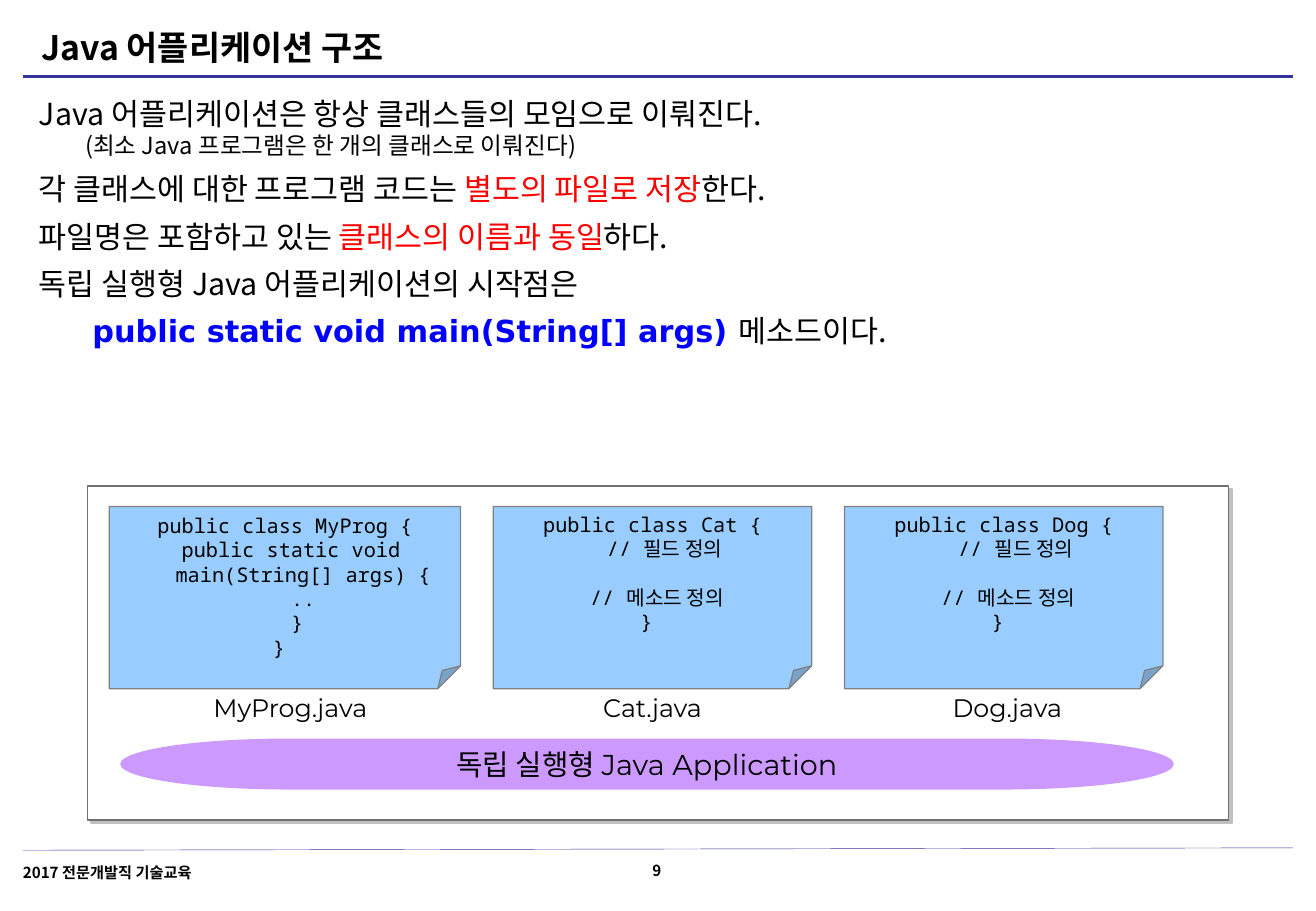
from copy import deepcopy

from lxml import etree
from pptx import Presentation
from pptx.dml.color import RGBColor
from pptx.enum.shapes import MSO_CONNECTOR, MSO_SHAPE
from pptx.enum.text import MSO_ANCHOR, PP_ALIGN
from pptx.oxml.ns import qn
from pptx.util import Inches, Pt

LEFT, CENTER = PP_ALIGN.LEFT, PP_ALIGN.CENTER
TOP, MIDDLE, BOTTOM = MSO_ANCHOR.TOP, MSO_ANCHOR.MIDDLE, MSO_ANCHOR.BOTTOM
RECTANGLE = MSO_SHAPE.RECTANGLE
FOLDED_CORNER = MSO_SHAPE.FOLDED_CORNER
TERMINATOR = MSO_SHAPE.FLOWCHART_TERMINATOR
STRAIGHT = MSO_CONNECTOR.STRAIGHT

KOREAN = "Noto Sans CJK KR"
LATIN = "Montserrat"
MONO = "Noto Sans Mono"
SIGNATURE = "DejaVu Sans"
COLORS = {
    "text": "000000", "accent": "FF0000", "signature": "0000FF",
    "rule": "333399", "frame": "727272", "paper": "FFFFFF",
    "note": "99CCFF", "note_edge": "808080", "banner": "CC99FF",
    "shadow": "C0C0C0",
}

CLASS_CODE = "public class {} {{\n  // 필드 정의\n\n  // 메소드 정의\n}} "
MAIN_CODE = ("public class MyProg {\n  public static void \n"
             "   main(String[] args) {\n   ..\n  }\n} ")
SOURCE_FILES = [
    ("MyProg", MAIN_CODE, 0.9, 2.89, MIDDLE, 2.39),
    ("Cat", CLASS_CODE.format("Cat"), 4.06, 2.62, TOP, 5.37),
    ("Dog", CLASS_CODE.format("Dog"), 6.95, 2.62, TOP, 8.29),
]
BODY = [
    ([("Java 어플리케이션은 항상 클래스들의 모임으로 이뤄진다.", {})], {}),
    ([("(최소 Java 프로그램은 한 개의 클래스로 이뤄진다)", {"size": 14})],
     {"margin": 0.38, "indent": 0}),
    ([("각 클래스에 대한 프로그램 코드는 ", {}),
      ("별도의 파일로 저장", {"color": "accent"}), ("한다.", {})],
     {"spacing": 1.3}),
    ([("파일명은 포함하고 있는 ", {}),
      ("클래스의 이름과 동일", {"color": "accent"}), ("하다.", {})],
     {"spacing": 1.3}),
    ([("독립 실행형 Java 어플리케이션의 시작점은", {})], {"spacing": 1.3}),
    ([("public static void main(String[] args) ",
       {"font": SIGNATURE, "color": "signature", "bold": True}),
      ("메소드이다.", {})],
     {"spacing": 1.3, "margin": 0.44, "indent": 0}),
]


def rgb(name):
    return RGBColor.from_string(COLORS[name])


def write(paragraph, text, size=18, font=KOREAN, color="text", bold=False):
    for number, line in enumerate(text.split("\n")):
        if number:
            paragraph.add_line_break()
            paragraph._p[-1].append(deepcopy(run_format))
        if line:
            run = paragraph.add_run()
            run.text = line
            run.font.size = Pt(size)
            run.font.bold = bold
            run.font.color.rgb = rgb(color)
            run.font.name = font
            run_format = run._r.get_or_add_rPr()
            etree.SubElement(run_format, qn("a:ea"), typeface=KOREAN)


def set_frame(frame, anchor=TOP, wrap=True, side=0.1, edge=0.05):
    frame.word_wrap = wrap
    frame.vertical_anchor = anchor
    frame.margin_left = frame.margin_right = Inches(side)
    frame.margin_top = frame.margin_bottom = Inches(edge)


def set_paragraph(paragraph, align=LEFT, spacing=1.0, margin=0, indent=0):
    paragraph.alignment = align
    paragraph.line_spacing = spacing
    paragraph.space_before = Pt(0)
    properties = paragraph._p.get_or_add_pPr()
    properties.set("marL", str(Inches(margin)))
    properties.set("indent", str(Inches(indent)))
    etree.SubElement(properties, qn("a:buNone"))


def place(shape, left, top, width, height):
    shape.left, shape.top = Inches(left), Inches(top)
    shape.width, shape.height = Inches(width), Inches(height)


def add_label(slide, text, box, anchor=TOP, wrap=True, align=LEFT,
              spacing=1.0, **style):
    frame = slide.shapes.add_textbox(*map(Inches, box)).text_frame
    set_frame(frame, anchor, wrap)
    set_paragraph(frame.paragraphs[0], align, spacing)
    write(frame.paragraphs[0], text, **style)


def add_rule(slide, start, end, weight):
    rule = slide.shapes.add_connector(STRAIGHT, *map(Inches, start + end))
    rule.line.color.rgb = rgb("rule")
    rule.line.width = Pt(weight)
    etree.SubElement(rule._element.spPr, qn("a:effectLst"))


def add_panel(slide, kind, box, fill, edge=None, weight=1, text="",
              anchor=MIDDLE, **style):
    panel = slide.shapes.add_shape(kind, *map(Inches, box))
    panel.shadow.inherit = False
    panel.fill.solid()
    panel.fill.fore_color.rgb = rgb(fill)
    if edge:
        panel.line.color.rgb = rgb(edge)
        panel.line.width = Pt(weight)
    else:
        panel.line.fill.background()
    if text:
        set_frame(panel.text_frame, anchor, wrap=False)
        set_paragraph(panel.text_frame.paragraphs[0], CENTER)
        write(panel.text_frame.paragraphs[0], text, **style)
    return panel


def cast_shadow(panel):
    effects = panel._element.spPr.find(qn("a:effectLst"))
    shadow = etree.SubElement(effects, qn("a:outerShdw"), dist=str(Pt(2.8)),
                              dir="2700000", algn="ctr", rotWithShape="0")
    etree.SubElement(shadow, qn("a:srgbClr"), val=COLORS["shadow"])


def fold_corner(note, share):
    geometry = note._element.spPr.find(qn("a:prstGeom"))
    etree.SubElement(geometry.find(qn("a:avLst")), qn("a:gd"), name="adj",
                     fmla=f"val {round(share * 100000)}")


def fill_title(title):
    place(title, 0.24, 0.17, 8.59, 0.44)
    set_frame(title.text_frame, MIDDLE)
    set_paragraph(title.text_frame.paragraphs[0])
    write(title.text_frame.paragraphs[0], "Java 어플리케이션 구조",
          size=20, bold=True)


def fill_body(body):
    place(body, 0.25, 0.75, 10.33, 2.44)
    frame = body.text_frame
    set_frame(frame, side=0.07, edge=0.03)
    for number, (runs, layout) in enumerate(BODY):
        paragraph = frame.add_paragraph() if number else frame.paragraphs[0]
        set_paragraph(paragraph, **{"margin": 0.38, "indent": -0.38, **layout})
        for text, style in runs:
            write(paragraph, text, **style)


def add_source_file(slide, name, code, left, width, anchor, label_center):
    note = add_panel(slide, FOLDED_CORNER, (left, 4.17, width, 1.5), "note",
                     "note_edge", 0.75, code, anchor, size=12, font=MONO)
    fold_corner(note, 0.125)
    add_label(slide, f"{name}.java", (label_center - 0.8, 5.65, 1.6, 0.35),
              wrap=False, align=CENTER, size=15, font=LATIN)


def main():
    deck = Presentation()
    deck.slide_width, deck.slide_height = Inches(10.83), Inches(7.5)
    slide = deck.slides.add_slide(deck.slide_layouts[1])
    fill_title(slide.shapes.title)
    fill_body(slide.placeholders[1])
    add_rule(slide, (0.19, 0.63), (10.64, 0.63), 2)
    add_rule(slide, (0.19, 7), (10.64, 6.98), 0.25)
    add_label(slide, "2017 전문개발직 기술교육", (0.09, 7.04, 2.96, 0.27),
              spacing=1.1, size=9, bold=True)
    add_label(slide, "9", (4.99, 7.05, 0.83, 0.24), BOTTOM, align=CENTER,
              size=9, bold=True)
    cast_shadow(add_panel(slide, RECTANGLE, (0.72, 4, 9.39, 2.75), "paper",
                          "frame"))
    for source_file in SOURCE_FILES:
        add_source_file(slide, *source_file)
    add_panel(slide, TERMINATOR, (0.99, 6.08, 8.67, 0.42), "banner",
              text="독립 실행형 Java Application", size=17, font=LATIN)
    deck.save("out.pptx")


if __name__ == "__main__":
    main()
